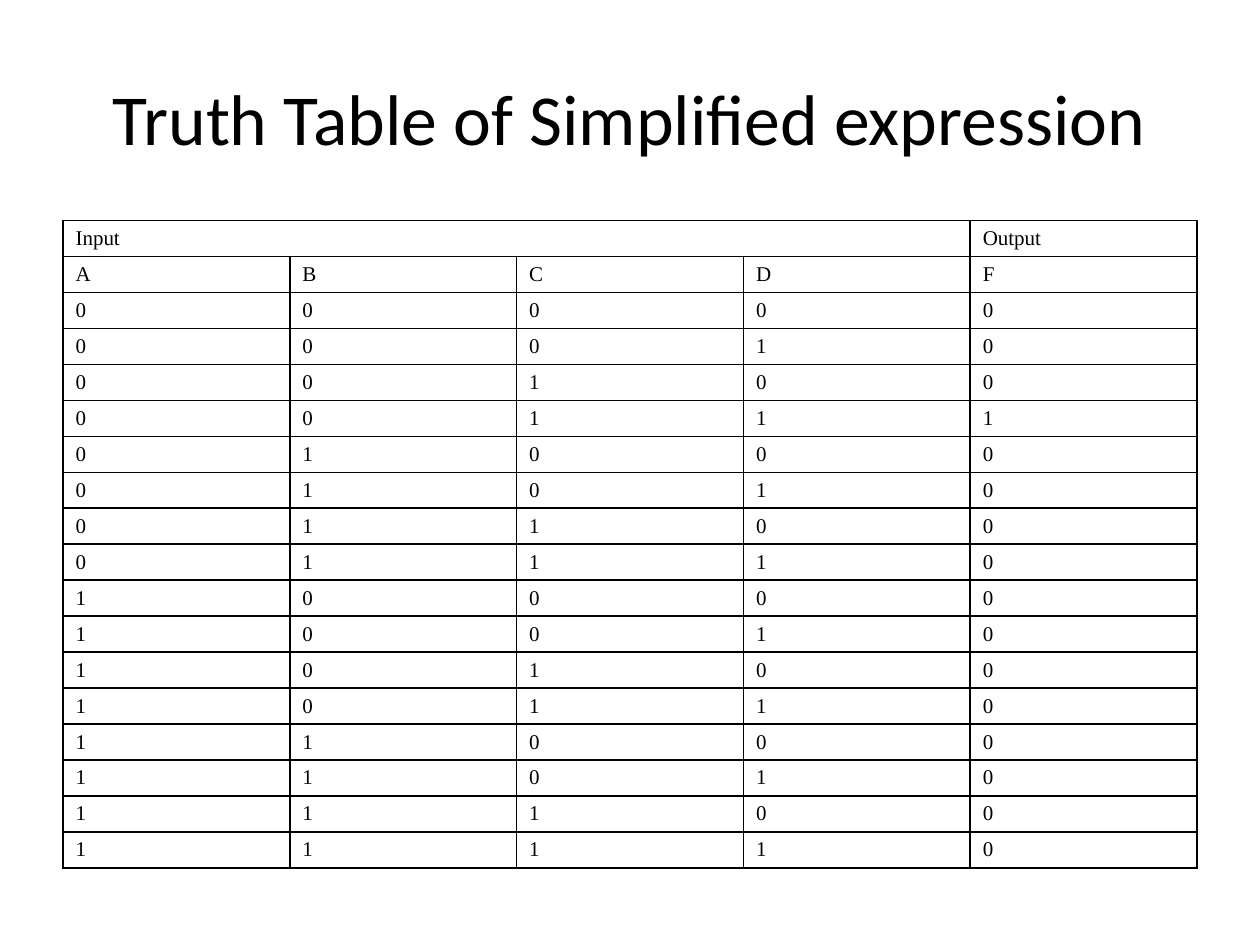
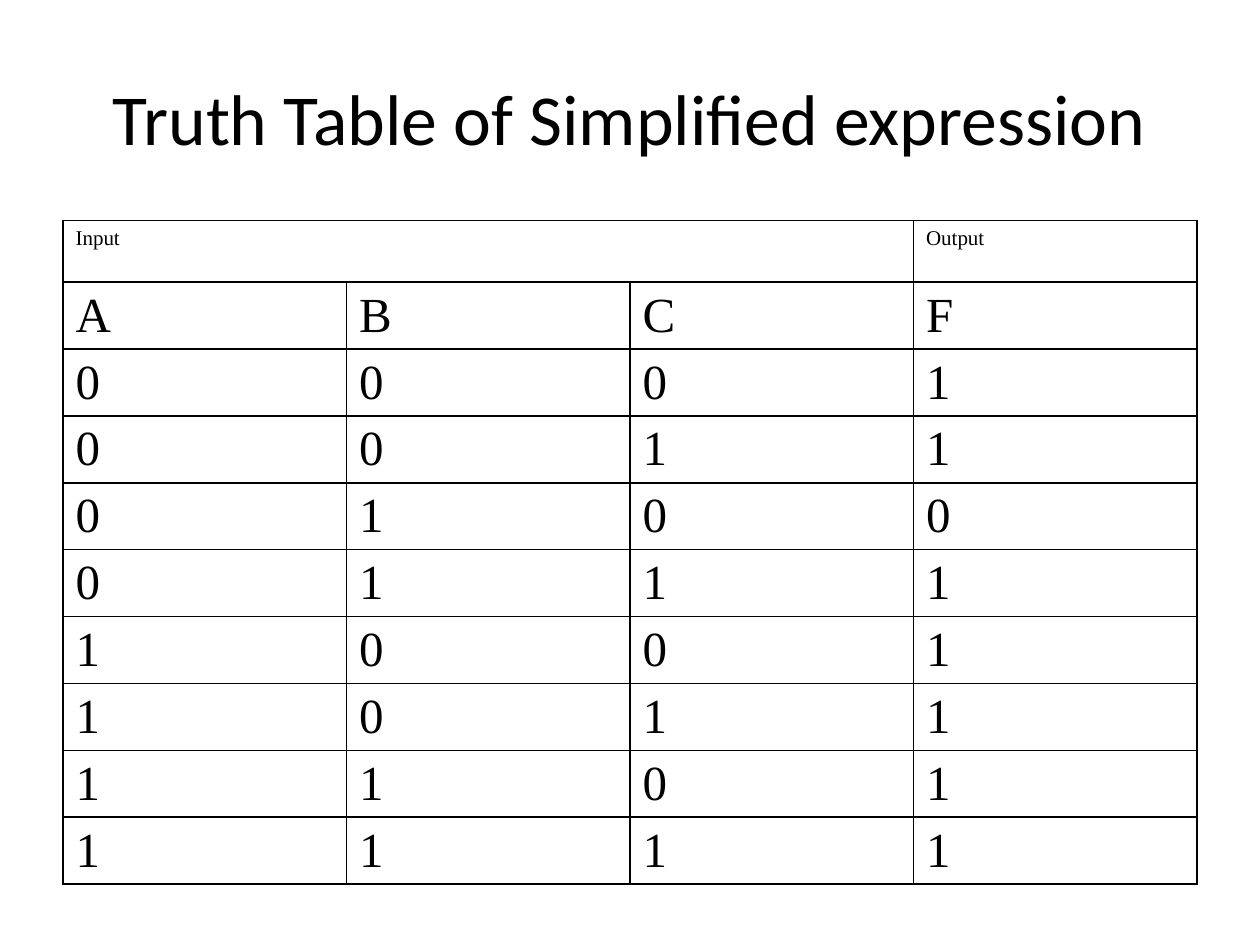
from dataclasses import dataclass
from itertools import product

from lxml import etree
from pptx import Presentation
from pptx import util as u
from pptx.dml.color import RGBColor
from pptx.enum import text
from pptx.oxml.ns import qn

TITLE = "Truth Table of Simplified expression"
INK = "000000"
TITLE_FONT = "Calibri"
TABLE_FONT = "Times New Roman"
LEFT, WIDTH = u.Inches(0.5), u.Inches(9)
TABLE_TOP = u.Inches(1.75)
HEADER_SIZE = 12


@dataclass
class TruthTable:
    inputs: str
    outputs: str
    size: int
    row_height: float
    indent: float = 0


TABLES = [
    TruthTable("ABCD", "0001000000000000", 12, 0.28, 0.38),
    TruthTable("ABC", "11011111", 28, 0.49),
]


def color(value: str) -> RGBColor:
    return RGBColor.from_string(value)


def write(tf, words: str, *, font: str, size: float, align, indent: float = 0) -> None:
    p = tf.paragraphs[0]
    p.alignment = align
    if indent:
        pPr = p._p.get_or_add_pPr()
        pPr.set("marL", str(u.Inches(indent)))
        pPr.set("indent", str(-u.Inches(indent)))
    r = p.add_run()
    r.text = words
    r.font.name = font
    r.font.size = u.Pt(size)
    r.font.color.rgb = color(INK)


def add_borders(cell) -> None:
    tcPr = cell._tc.get_or_add_tcPr()
    for i, side in enumerate(("a:lnL", "a:lnR", "a:lnT", "a:lnB")):
        ln = etree.Element(qn(side), w=str(u.Pt(1)))
        fill = etree.SubElement(ln, qn("a:solidFill"))
        etree.SubElement(fill, qn("a:srgbClr"), val=INK)
        tcPr.insert(i, ln)


def add_title(s) -> None:
    sp = s.shapes.title
    sp.left, sp.top, sp.width, sp.height = LEFT, u.Inches(0.3), WIDTH, u.Inches(1.25)
    tf = sp.text_frame
    tf.auto_size = text.MSO_AUTO_SIZE.NONE
    tf.vertical_anchor = text.MSO_ANCHOR.MIDDLE
    write(tf, TITLE, font=TITLE_FONT, size=41, align=text.PP_ALIGN.CENTER)


def add_truth_table(s, spec_table: TruthTable) -> None:
    n = len(spec_table.inputs)
    states = product("01", repeat=n)
    rows = [
        ["Input", *[""] * (n - 1), "Output"],
        [*spec_table.inputs, "F"],
        *[[*bits, out] for bits, out in zip(states, spec_table.outputs)],
    ]
    height = u.Inches(spec_table.row_height)
    table = s.shapes.add_table(
        len(rows), n + 1, LEFT, TABLE_TOP, WIDTH, height * len(rows)
    ).table
    table.first_row = table.horz_banding = False
    table.cell(0, 0).merge(table.cell(0, n - 1))
    for i, values in enumerate(rows):
        table.rows[i].height = height
        for j, value in enumerate(values):
            cell = table.cell(i, j)
            cell.fill.background()
            add_borders(cell)
            if value:
                write(
                    cell.text_frame, value, font=TABLE_FONT,
                    size=spec_table.size if i else HEADER_SIZE,
                    align=text.PP_ALIGN.JUSTIFY, indent=spec_table.indent,
                )


def main() -> None:
    prs = Presentation()
    prs.slide_width, prs.slide_height = u.Inches(10), u.Inches(7.5)
    for truth_table in TABLES:
        s = prs.slides.add_slide(prs.slide_layouts[5])
        add_title(s)
        add_truth_table(s, truth_table)
    prs.save("out.pptx")


if __name__ == "__main__":
    main()
